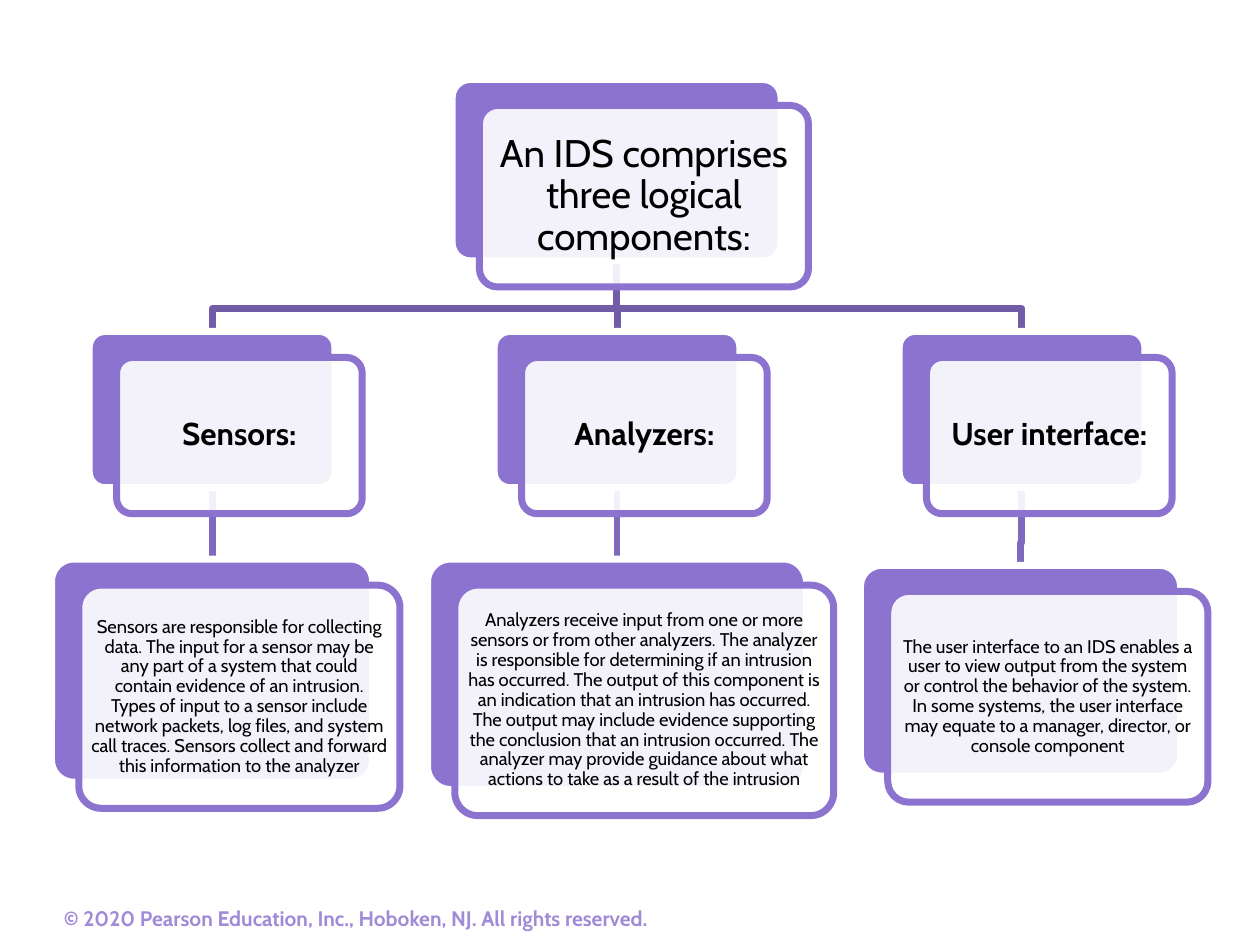
import pptx
import pptx.dml.color
import pptx.enum.shapes
import pptx.enum.text
import pptx.util
import lxml.etree

Pt = pptx.util.Pt
RGBColor = pptx.dml.color.RGBColor
KIND = pptx.enum.shapes.MSO_SHAPE
LINK = pptx.enum.shapes.MSO_CONNECTOR
ALIGN = pptx.enum.text.PP_ALIGN
MIDDLE = pptx.enum.text.MSO_ANCHOR.MIDDLE

FONT = "Cabin"
PURPLE = RGBColor(0x8C, 0x73, 0xD0)
DARK = RGBColor(0x70, 0x5C, 0xA7)
MEDIUM = RGBColor(0x7F, 0x68, 0xBD)
LILAC = RGBColor(0xA0, 0x8B, 0xD6)
WHITE = RGBColor(0xFF, 0xFF, 0xFF)
BLACK = RGBColor(0, 0, 0)

STROKE = 4
SHIFT_X, SHIFT_Y = 15.6, 14.9  # front card against back card

# Root and branch heads: centre, top, width, height
ROOT = (352.4, 45.4, 188, 103.7)
HEAD_TOP, HEAD_W, HEAD_H = 189.4, 140.4, 89.3
FIRST, PITCH = 121.2, 231.4

# Branches: head, detail centre, top, width, height, detail
PARTS = [
    ("Sensors:", (121.2, 319.5, 183.5, 127.5),
     "Sensors are responsible for collecting data. The input for a sensor may "
     "be any part of a system that could contain evidence of an intrusion. "
     "Types of input to a sensor include network packets, log files, and "
     "system call traces. Sensors collect and forward this information to "
     "the analyzer"),
    ("Analyzers:", (352.6, 319.5, 216.5, 131.7),
     "Analyzers receive input from one or more sensors or from other "
     "analyzers. The analyzer is responsible for determining if an intrusion "
     "has occurred. The output of this component is an indication that an "
     "intrusion has occurred. The output may include evidence supporting the "
     "conclusion that an intrusion occurred. The analyzer may provide "
     "guidance about what actions to take as a result of the intrusion"),
    ("User interface:", (583.2, 323, 183, 120.5),
     "The user interface to an IDS enables a user to view output from the "
     "system or control the behavior of the system. In some systems, the user "
     "interface may equate to a manager, director, or console component"),
]


def style(par, size, color, bold=False):
    par.font.name = FONT
    par.font.size = Pt(size)
    par.font.bold = bold
    par.font.color.rgb = color


def panel(slide, left, top, wide, high, fill, line):
    shape = slide.shapes.add_shape(
        KIND.ROUNDED_RECTANGLE, Pt(left), Pt(top), Pt(wide), Pt(high))
    shape.shadow.inherit = False
    shape.adjustments[0] = 0.1
    shape.fill.solid()
    shape.fill.fore_color.rgb = fill
    shape.line.color.rgb = line
    shape.line.width = Pt(STROKE)
    return shape


def card(slide, place, text, size, inset, bold=False):
    """Solid back panel with a shifted, nearly opaque text panel in front."""
    mid, top, wide, high = place
    left = mid - wide / 2
    panel(slide, left, top, wide, high, PURPLE, WHITE)
    front = panel(slide, left + SHIFT_X, top + SHIFT_Y, wide, high,
                  WHITE, PURPLE)
    tint = front.fill._xPr.find(".//" + pptx.oxml.ns.qn("a:srgbClr"))
    lxml.etree.SubElement(tint, pptx.oxml.ns.qn("a:alpha"), val="90000")

    frame = front.text_frame
    frame.word_wrap = True
    frame.vertical_anchor = MIDDLE
    frame.margin_left = frame.margin_right = Pt(inset)
    frame.margin_top = frame.margin_bottom = Pt(inset)
    par = frame.paragraphs[0]
    par.text = text
    par.alignment = ALIGN.CENTER
    par.line_spacing = 0.9
    style(par, size, BLACK, bold)


def link(slide, upper, lower, color):
    """Line from the foot of one card to the top of another, bent if needed."""
    x, y = upper[0], upper[1] + upper[3]
    end_x, end_y = lower[:2]
    if x == end_x:
        line = slide.shapes.add_connector(
            LINK.STRAIGHT, Pt(x), Pt(y), Pt(end_x), Pt(end_y))
        lxml.etree.SubElement(line._element.spPr,
                              pptx.oxml.ns.qn("a:effectLst"))
    else:
        bend = end_y - 13
        draft = slide.shapes.build_freeform(Pt(x), Pt(y))
        draft.add_line_segments(
            [(Pt(x), Pt(bend)), (Pt(end_x), Pt(bend)), (Pt(end_x), Pt(end_y))],
            close=False)
        line = draft.convert_to_shape()
        line.fill.background()
        line.shadow.inherit = False
    line.line.color.rgb = color
    line.line.width = Pt(STROKE)


def footer(slide):
    box = slide.shapes.add_textbox(Pt(29.5), Pt(504.7), Pt(421), Pt(39.6))
    box.text_frame.word_wrap = True
    box.text_frame.vertical_anchor = MIDDLE
    par = box.text_frame.paragraphs[0]
    par.text = ("© 2020 Pearson Education, Inc., Hoboken, NJ. "
                "All rights reserved.")
    style(par, 12, LILAC, True)


def main():
    deck = pptx.Presentation()
    deck.slide_width, deck.slide_height = Pt(720), Pt(540)
    slide = deck.slides.add_slide(deck.slide_layouts[6])
    footer(slide)

    # Links lie behind all cards
    heads = [(FIRST + i * PITCH, HEAD_TOP, HEAD_W, HEAD_H)
             for i in range(len(PARTS))]
    for head, (_, place, _) in zip(heads, PARTS):
        link(slide, head, place, MEDIUM)
        link(slide, ROOT, head, DARK)

    # Cards from the root down
    card(slide, ROOT, "An IDS comprises three logical components:", 22, 6.6)
    for head, (name, place, text) in zip(heads, PARTS):
        card(slide, head, name, 18, 5.4, True)
        card(slide, place, text, 10.5, 3.2)

    deck.save("out.pptx")


if __name__ == "__main__":
    main()
